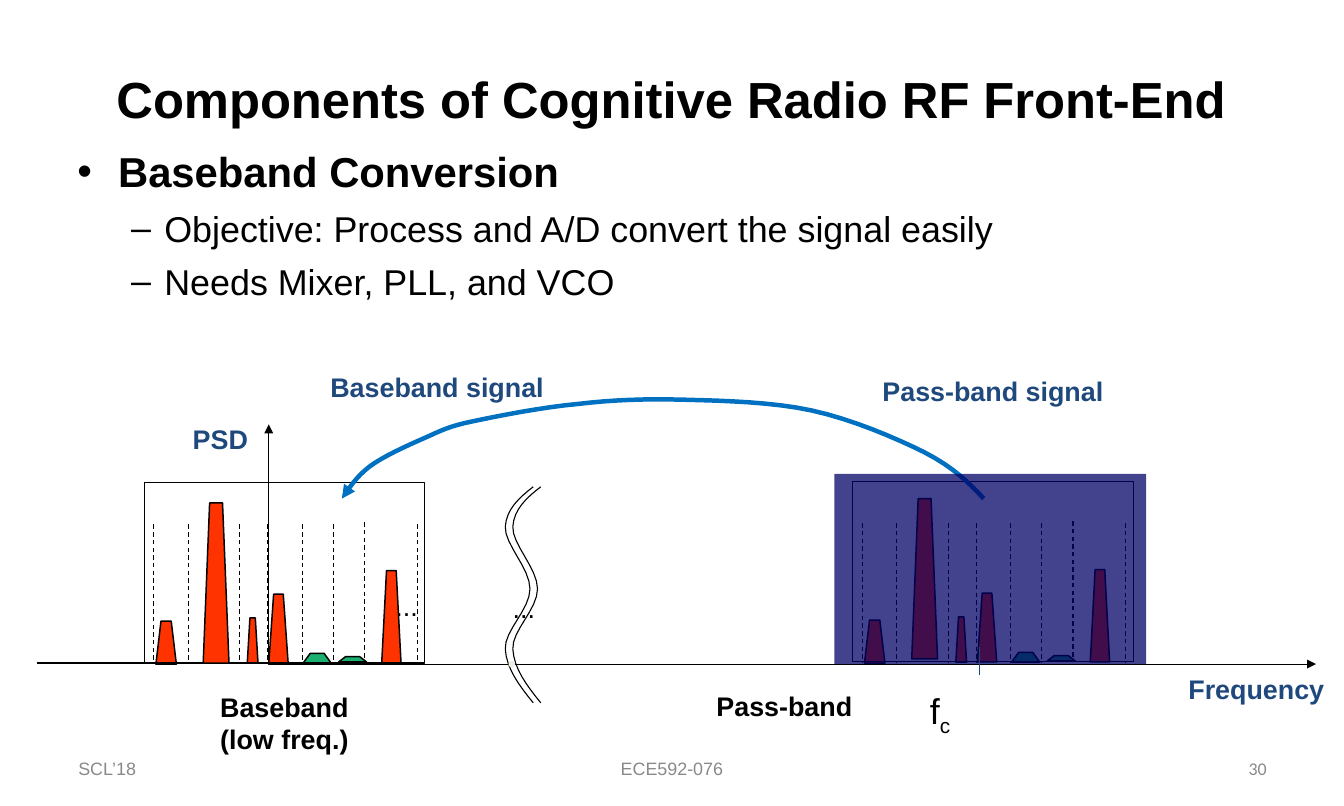
from lxml.etree import SubElement
from pptx import Presentation
from pptx.dml.color import RGBColor
from pptx.enum.dml import MSO_LINE
from pptx.enum.shapes import MSO_CONNECTOR, MSO_SHAPE
from pptx.enum.text import MSO_ANCHOR, PP_ALIGN
from pptx.oxml.ns import qn
from pptx.util import Cm, Pt

BLACK = RGBColor(0x00, 0x00, 0x00)
GRAY = RGBColor(0x89, 0x89, 0x89)
NAVY = RGBColor(0x1F, 0x49, 0x7D)
BLUE = RGBColor(0x00, 0x70, 0xC0)
RED = RGBColor(0xFF, 0x33, 0x00)
GREEN = RGBColor(0x1B, 0xAF, 0x70)
CREAM = RGBColor(0xEE, 0xEC, 0xE1)
INDIGO = RGBColor(0x00, 0x00, 0x66)
LEFT, CENTER, RIGHT = PP_ALIGN.LEFT, PP_ALIGN.CENTER, PP_ALIGN.RIGHT

# Content: all places and sizes are in inches
TITLE = ("Components of Cognitive Radio RF Front-End", (0.62, 0.51, 11.25, 0.8))
BULLETS_AT = (0.62, 1.31, 11.25, 1.8)
BULLETS = [  # level, text
    (0, "Baseband Conversion"),
    (1, "Objective: Process and A/D convert the signal easily"),
    (1, "Needs Mixer, PLL, and VCO"),
]
BULLET_STYLES = [  # character, size, bold, left margin, hanging, space before
    ("•", 28, True, 0.38, 0.38, 0),
    ("–", 24, False, 0.81, 0.31, 7),
]
FOOTERS = [  # text, place, alignment, font
    ("SCL’18", (0.63, 6.95, 2.92, 0.4), LEFT, "Arial"),
    ("ECE592-076", (4.27, 6.95, 3.96, 0.4), CENTER, "Arial"),
    ("30", (8.96, 6.95, 2.92, 0.4), RIGHT, "Calibri"),
]
AXIS_LABELS = [  # text, place
    ("Frequency", (10.92, 6.21, 1.53, 0.4)),
    ("PSD", (1.57, 3.88, 0.96, 0.4)),
    ("Pass-band signal", (7.89, 3.44, 2.69, 0.4)),
    ("Baseband signal", (2.97, 3.4, 2.19, 0.4)),
]
BAND_NAMES = [  # lines, place
    (["Baseband", "(low freq.)"], (1.17, 6.38, 2.95, 0.7)),
    (["Pass-band"], (6.19, 6.37, 2.21, 0.4)),
]
ELLIPSES = [(4.67, 5.46, 1.16, 0.4), (3.58, 5.44, 1.16, 0.4)]
CARRIER_AT = (8.55, 6.36, 1.14, 0.56)

# Each band holds the same spectrum: left edge, baseline, lift of the tall bar
BANDS = [(7.93, 6.16, 0.03), (1.34, 6.17, 0)]
BAND_SIZE = (2.61, 1.68)
BARS = [  # offset from band edge, width, height, drop below baseline, colour
    (0.11, 0.19, 0.4, 0.01, RED),
    (1.48, 0.26, 0.09, 0, GREEN),
    (0.96, 0.1, 0.42, 0, RED),
    (1.16, 0.18, 0.64, 0, RED),
    (2.21, 0.18, 0.86, 0, RED),
    (1.81, 0.26, 0.05, -0.01, GREEN),
]
TALL_BAR = (0.55, 0.24, 1.49)
DIVIDERS = [(0.09, 0), (0.41, 0), (0.89, 0), (1.15, 0),  # offset, rise
            (1.47, 0), (1.76, 0), (2.05, 0.02), (2.54, 0)]
DIVIDER_HEIGHT = 1.29

# Curves: a start point, then three points for every cubic segment
AXIS_BREAK = [(5.03, 4.53), (4.9, 4.63), (4.78, 4.74), (4.77, 4.9),
              (4.76, 5.06), (5, 5.29), (5, 5.48), (5, 5.67), (4.76, 5.87),
              (4.77, 6.04), (4.78, 6.22), (4.9, 6.38), (5.03, 6.54)]
BREAK_SHIFTS = [0, -0.07]
CONVERSION = [(9.15, 4.64), (9.01, 4.49), (8.87, 4.35), (8.6, 4.21),
              (8.34, 4.08), (7.92, 3.9), (7.55, 3.82), (7.18, 3.74),
              (6.74, 3.73), (6.38, 3.72), (6.01, 3.71), (5.7, 3.72),
              (5.37, 3.76), (5.04, 3.79), (4.64, 3.87), (4.4, 3.92),
              (4.16, 3.97), (4.1, 4.01), (3.94, 4.08), (3.78, 4.15),
              (3.56, 4.25), (3.44, 4.34), (3.31, 4.44), (3.25, 4.54), (3.18, 4.64)]
CURVE_STEPS = 8


def length(inches):
    return Cm(inches * 2.54)


deck = Presentation()
deck.slide_width, deck.slide_height = length(12.5), length(7.5)
page = deck.slides.add_slide(deck.slide_layouts[6])


def add_text(place, lines, size, color=BLACK, bold=False, align=LEFT,
             font="Arial", anchor=MSO_ANCHOR.TOP):
    """Each line is a list of runs."""
    frame = page.shapes.add_textbox(*map(length, place)).text_frame
    frame.word_wrap = True
    frame.vertical_anchor = anchor
    for index, runs in enumerate(lines):
        para = frame.paragraphs[0] if index == 0 else frame.add_paragraph()
        para.alignment = align
        for text in runs:
            span = para.add_run()
            span.text = text
            span.font.name, span.font.size = font, Pt(size)
            span.font.bold, span.font.color.rgb = bold, color
    return frame


def style_shape(shape, fill=None, line=None, width=0.75):
    shape.shadow.inherit = False
    if fill is None:
        shape.fill.background()
    else:
        shape.fill.solid()
        shape.fill.fore_color.rgb = fill
    if line is None:
        shape.line.fill.background()
    else:
        shape.line.color.rgb, shape.line.width = line, Pt(width)
    return shape


def add_outline(points, close=False, fill=None, line=BLACK, width=0.75, arrows=()):
    start, *rest = [(length(x), length(y)) for x, y in points]
    builder = page.shapes.build_freeform(*start)
    builder.add_line_segments(rest, close=close)
    shape = style_shape(builder.convert_to_shape(), fill, line, width)
    for end in arrows:
        SubElement(shape.line._get_or_add_ln(), qn(f"a:{end}")).set("type", "triangle")


def add_line(x1, y1, x2, y2, color=BLACK, dashed=False):
    line = page.shapes.add_connector(MSO_CONNECTOR.STRAIGHT,
                                     *map(length, (x1, y1, x2, y2)))
    line.line.color.rgb, line.line.width = color, Pt(0.75)
    if dashed:
        line.line.dash_style = MSO_LINE.DASH
    SubElement(line._element.spPr, qn("a:effectLst"))


def add_preset(kind, place, **style):
    return style_shape(page.shapes.add_shape(kind, *map(length, place)), **style)


def trace(points):
    """Points along a chain of cubic segments."""
    traced = [points[0]]
    for first in range(0, len(points) - 1, 3):
        corners = points[first:first + 4]
        for step in range(1, CURVE_STEPS + 1):
            t = step / CURVE_STEPS
            weights = ((1 - t) ** 3, 3 * t * (1 - t) ** 2, 3 * t * t * (1 - t), t ** 3)
            traced.append(tuple(sum(w * corner[axis] for w, corner in zip(weights, corners))
                                for axis in (0, 1)))
    return traced


def add_bar(left, bottom, width, height, color):
    inset, right, top = width / 4, left + width, bottom - height
    add_outline([(right, bottom), (right - inset, top), (left + inset, top),
                 (left, bottom)], close=True, fill=color, width=1)


# Title, bullets and footers
add_text(TITLE[1], [[TITLE[0]]], 34, bold=True, align=CENTER, anchor=MSO_ANCHOR.MIDDLE)
body = add_text(BULLETS_AT, [[text] for _, text in BULLETS], 24)
for para, (level, _) in zip(body.paragraphs, BULLETS):
    mark, size, bold, margin, hanging, before = BULLET_STYLES[level]
    para.level = level
    properties = para._p.get_or_add_pPr()
    properties.set("marL", str(length(margin)))
    properties.set("indent", str(-length(hanging)))
    SubElement(properties, qn("a:buFont")).set("typeface", "Arial")
    SubElement(properties, qn("a:buChar")).set("char", mark)
    para.space_before = Pt(before)
    para.runs[0].font.size, para.runs[0].font.bold = Pt(size), bold
for text, place, align, font in FOOTERS:
    add_text(place, [[text]], 12, GRAY, align=align, font=font, anchor=MSO_ANCHOR.MIDDLE)

# Axes, their labels and the break
for text, place in AXIS_LABELS:
    add_text(place, [[text]], 18, NAVY, bold=True, align=CENTER)
add_outline([(2.5, 3.95), (2.5, 6.18), (12.24, 6.18)], arrows=("headEnd", "tailEnd"))
add_line(0.34, 6.17, 2.69, 6.17)
for place in ELLIPSES:
    add_text(place, [["..."]], 18)
for shift in BREAK_SHIFTS:
    add_outline(trace([(x + shift, y) for x, y in AXIS_BREAK]))
add_preset(MSO_SHAPE.OVAL, (4.73, 6.15, 0.06, 0.06), fill=CREAM)
for lines, place in BAND_NAMES:
    add_text(place, [[line] for line in lines], 18, bold=True, align=CENTER)

# Spectrum in both bands
for edge, baseline, lift in BANDS:
    for offset, width, height, drop, color in BARS:
        add_bar(edge + offset, baseline + drop, width, height, color)
    for offset, rise in DIVIDERS:
        x, bottom = edge + offset, baseline - rise
        add_line(x, bottom - DIVIDER_HEIGHT, x, bottom, dashed=True)
    add_preset(MSO_SHAPE.RECTANGLE, (edge, baseline - BAND_SIZE[1], *BAND_SIZE), line=BLACK)
    offset, width, height = TALL_BAR
    add_bar(edge + offset, baseline - lift, width, height, RED)

# Conversion arrow, pass-band shade and carrier
add_outline(trace(CONVERSION), line=BLUE, width=3, arrows=("tailEnd",))
shade = add_preset(MSO_SHAPE.RECTANGLE, (7.76, 4.41, 2.9, 1.77), fill=INDIGO)
tint = shade._element.spPr.find(qn("a:solidFill")).find(qn("a:srgbClr"))
SubElement(tint, qn("a:alpha")).set("val", "74000")
carrier = add_text(CARRIER_AT, [["f", "c"]], 24)
carrier.paragraphs[0].runs[1]._r.get_or_add_rPr().set("baseline", "-25000")
add_line(9.11, 6.02, 9.11, 6.28, NAVY)

deck.save("out.pptx")
